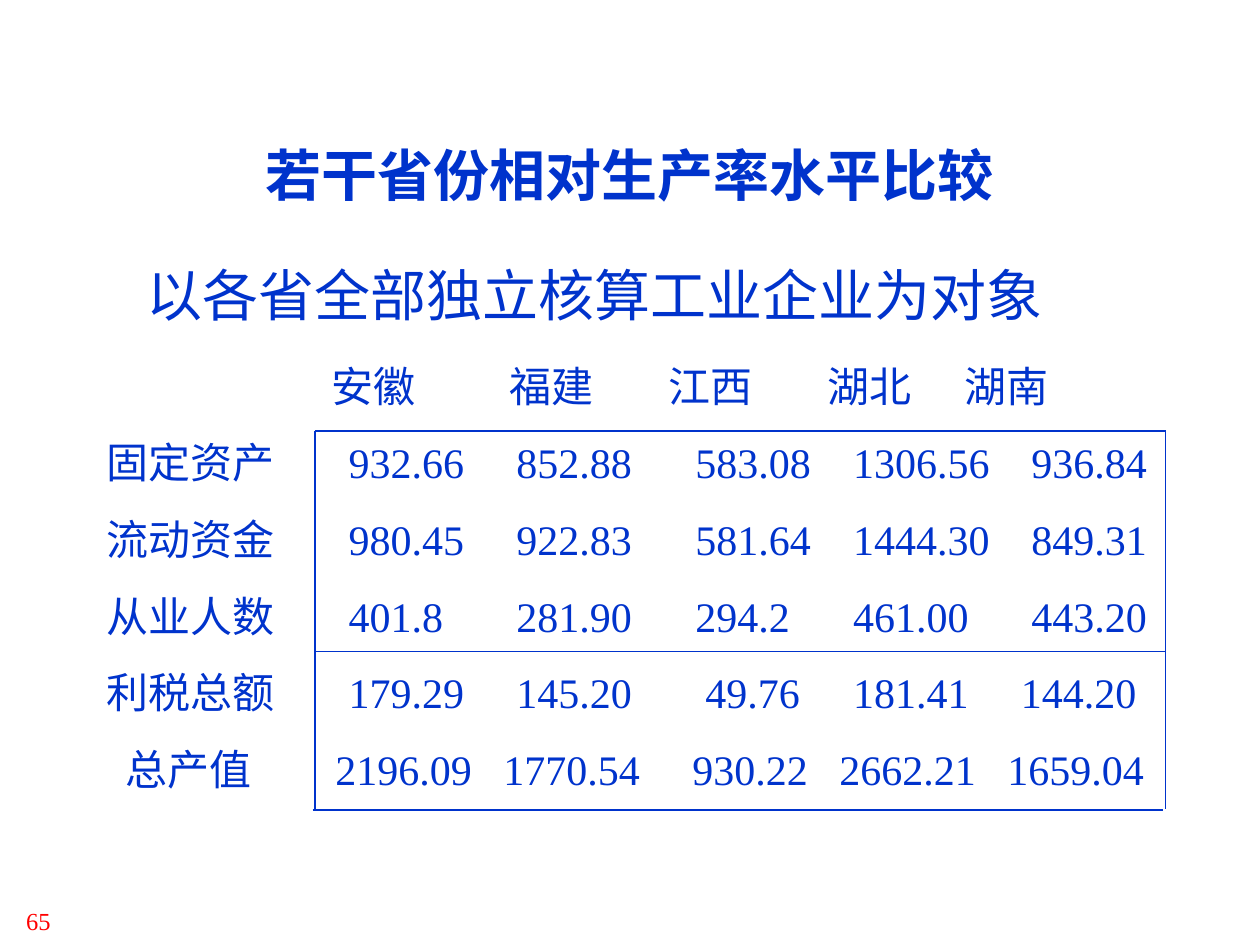
import pptx
import pptx.dml.color
import pptx.enum.shapes
import pptx.enum.text
import pptx.oxml.ns
import pptx.util
from lxml import etree

Cm, Pt = pptx.util.Cm, pptx.util.Pt
RGB = pptx.dml.color.RGBColor.from_string
ALIGN = pptx.enum.text.PP_ALIGN
qn = pptx.oxml.ns.qn

# Content
TITLE = "若干省份相对生产率水平比较"
SUBJECT = "以各省全部独立核算工业企业为对象"
PAGE = "65"
HEADER_STOPS = (4.53, 8.13, 11.33, 14.53, 17.29)
INPUT_STOPS = (4.88, 8.26, 11.87, 15.05, 18.64)
TAX_STOPS = (4.88, 8.26, 12.07, 15.05, 18.43)
OUTPUT_STOPS = (0.38, 4.61, 8, 11.81, 14.77, 18.16)
ROWS = [  # cells, tab stops in cm
    (("", "安徽", "福建", "江西", "湖北", "湖南"), HEADER_STOPS),
    (("固定资产", "932.66", "852.88", "583.08", "1306.56", "936.84"), INPUT_STOPS),
    (("流动资金", "980.45", "922.83", "581.64", "1444.30", "849.31"), INPUT_STOPS),
    (("从业人数", "401.8", "281.90", "294.2", "461.00", "443.20"), INPUT_STOPS),
    (("利税总额", "179.29", "145.20", "49.76", "181.41", "144.20"), TAX_STOPS),
    (("", "总产值", "2196.09", "1770.54", "930.22", "2662.21", "1659.04"), OUTPUT_STOPS),
]

THEME = {
    "blue": RGB("0033CC"), "red": RGB("FF0000"),
    "serif": "Times New Roman", "sans": "Arial",
    "heading": Pt(32), "data": Pt(24), "page": Pt(14), "rule": Pt(0.75),
}

# Frame around the figures, in cm
LEFT, RIGHT, TOP, MIDDLE, BOTTOM = 6.35, 23.5, 8.69, 13.13, 16.31
RULES = [
    (LEFT, TOP, RIGHT, TOP),
    (LEFT, TOP, LEFT, BOTTOM),
    (LEFT, MIDDLE, RIGHT, MIDDLE),
    (RIGHT, TOP, RIGHT, BOTTOM),
    (LEFT - 0.05, BOTTOM + 0.02, RIGHT - 0.05, BOTTOM + 0.02),
]


def style(p, size, font="serif", color="blue", bold=False):
    for r in p.runs:
        r.font.size, r.font.name = THEME[size], THEME[font]
        r.font.color.rgb, r.font.bold = THEME[color], bold


def add_box(s, x, y, w, h):
    tf = s.shapes.add_textbox(Cm(x), Cm(y), Cm(w), Cm(h)).text_frame
    tf.word_wrap = True
    return tf


def set_tabs(p, stops):
    tabs = etree.SubElement(p._p.get_or_add_pPr(), qn("a:tabLst"))
    for stop in stops:
        etree.SubElement(tabs, qn("a:tab"), pos=str(Cm(stop)), algn="l")


def add_rule(s, x1, y1, x2, y2):
    line = s.shapes.add_connector(
        pptx.enum.shapes.MSO_CONNECTOR.STRAIGHT, Cm(x1), Cm(y1), Cm(x2), Cm(y2))
    line.line.color.rgb, line.line.width = THEME["blue"], THEME["rule"]
    etree.SubElement(line._element.spPr, qn("a:effectLst"))


def main():
    prs = pptx.Presentation()
    prs.slide_width, prs.slide_height = Cm(25.4), Cm(19.05)
    s = prs.slides.add_slide(prs.slide_layouts[5])

    # Title
    sp = s.shapes.title
    sp.left, sp.top, sp.width, sp.height = Cm(1.9), Cm(2.82), Cm(21.6), Cm(1.7)
    tf = sp.text_frame
    tf.text = TITLE
    tf.auto_size = pptx.enum.text.MSO_AUTO_SIZE.NONE
    tf.vertical_anchor = pptx.enum.text.MSO_ANCHOR.TOP
    p = tf.paragraphs[0]
    p.alignment, p.line_spacing = ALIGN.CENTER, 0.93
    style(p, "heading", bold=True)

    # Subject line
    tf = add_box(s, 2.7, 5.13, 21.6, 1.9)
    tf.text = SUBJECT
    style(tf.paragraphs[0], "heading", "sans")

    # Figures by province, aligned on tab stops
    tf = add_box(s, 1.9, 7.14, 22.23, 10.54)
    tf.text = "\n".join("\t".join(cells) for cells, _ in ROWS)
    for i, (p, (_, stops)) in enumerate(zip(tf.paragraphs, ROWS)):
        set_tabs(p, stops)
        if i:
            p.space_before = Pt(15)
        style(p, "data")

    # Frame rules
    for rule in RULES:
        add_rule(s, *rule)

    # Page number
    tf = add_box(s, 0, 18.14, 1.27, 0.71)
    tf.text = PAGE
    tf.paragraphs[0].alignment = ALIGN.RIGHT
    style(tf.paragraphs[0], "page", color="red")

    prs.save("out.pptx")


if __name__ == "__main__":
    main()
